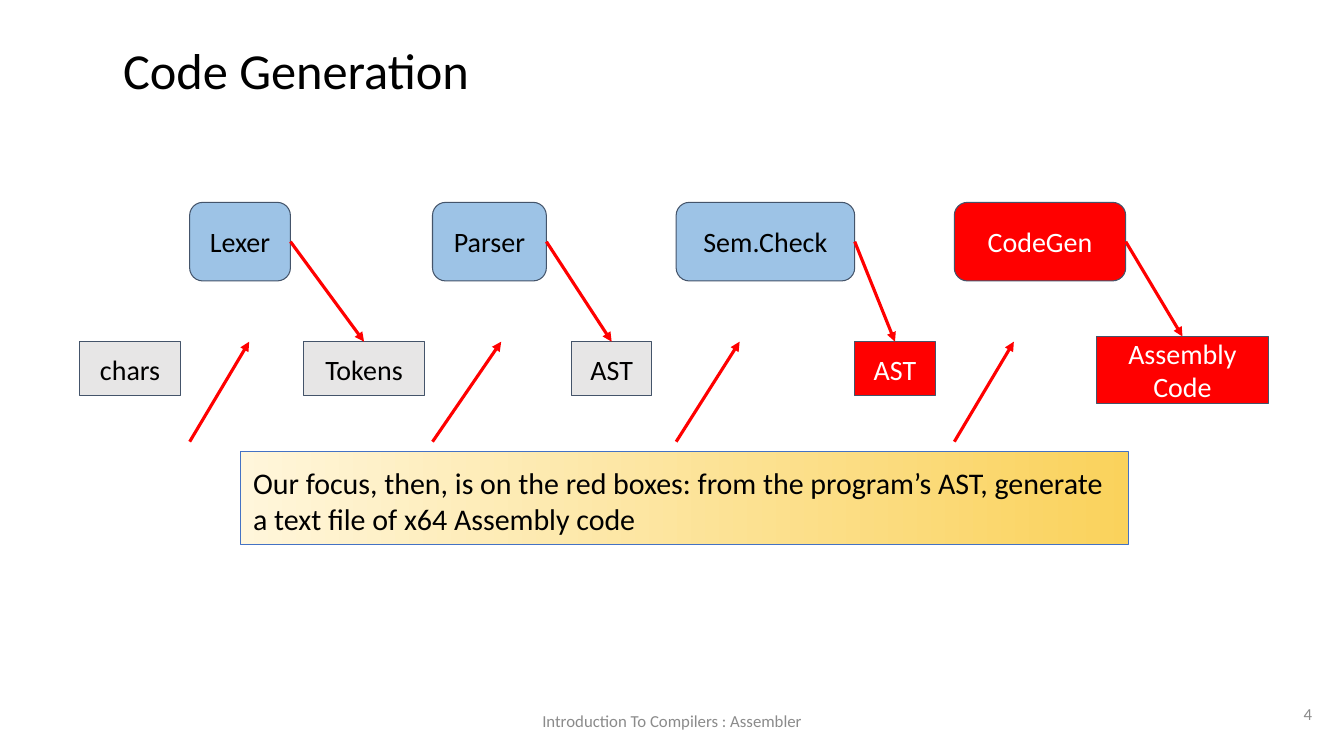
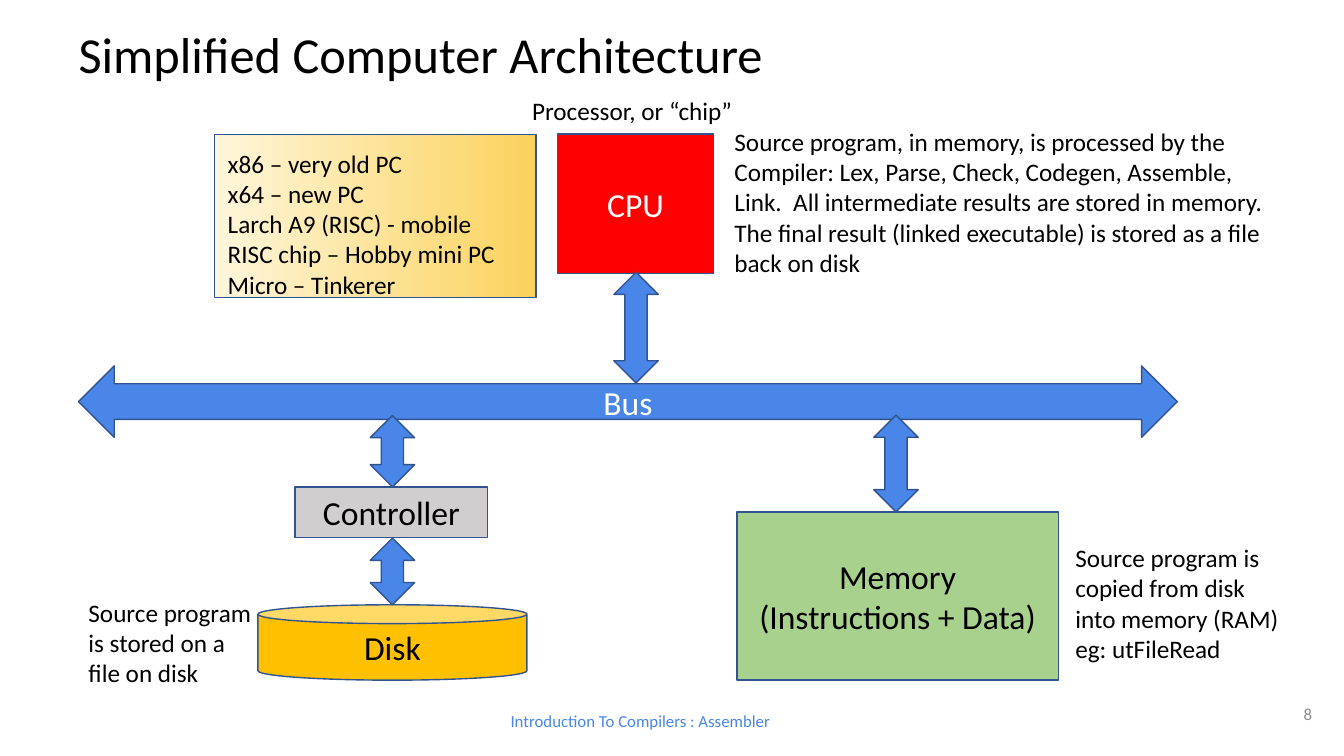
from lxml.etree import SubElement
from pptx import Presentation
from pptx.dml.color import RGBColor
from pptx.enum.shapes import MSO_CONNECTOR, MSO_SHAPE
from pptx.enum.text import MSO_ANCHOR, PP_ALIGN
from pptx.oxml.ns import qn
from pptx.util import Cm, Pt

BLACK, WHITE, RED, BLUE = "000000", "FFFFFF", "FF0000", "4A86E8"
GREY, SLATE, NAVY = "8B8B8B", "44546A", "31538F"


def rgb(value):
    """Turn a hex string into a colour."""
    return RGBColor.from_string(value)


def write(frame, text, size=18, color=BLACK, align=PP_ALIGN.LEFT,
          anchor=MSO_ANCHOR.TOP, inset=(0.33, 0.18)):
    """Fill a text frame, one paragraph for each line of text."""
    frame.word_wrap = True
    frame.vertical_anchor = anchor
    frame.margin_left = frame.margin_right = Cm(inset[0])
    frame.margin_top = frame.margin_bottom = Cm(inset[1])
    frame.text = text
    for paragraph in frame.paragraphs:
        paragraph.alignment = align
        paragraph.font.name = "Calibri"
        paragraph.font.size = Pt(size)
        paragraph.font.color.rgb = rgb(color)


class Deck:
    """Hold the presentation, its style and the current slide."""

    def __init__(self):
        """Start a widescreen presentation."""
        self.presentation = Presentation()
        self.presentation.slide_width = Cm(33.87)
        self.presentation.slide_height = Cm(19.05)
        self.outline = NAVY
        self.outline_width = 1

    def slide(self, title, place, inset, outline, outline_width):
        """Add a slide with its title and set its outline style."""
        layout = self.presentation.slide_layouts[5]
        self.shapes = self.presentation.slides.add_slide(layout).shapes
        self.outline, self.outline_width = outline, outline_width
        heading = self.shapes.title
        heading.left, heading.top, heading.width, heading.height = map(Cm, place)
        write(heading.text_frame, title, size=36, inset=inset)

    def label(self, text, place, **style):
        """Add a plain text box."""
        write(self.shapes.add_textbox(*map(Cm, place)).text_frame, text, **style)

    def footer(self, number, center, color):
        """Add the course name and the slide number."""
        middle = MSO_ANCHOR.MIDDLE
        self.label("Introduction To Compilers : Assembler", (center - 5.7, 17.65, 11.4, 1.02),
                   size=12, color=color, align=PP_ALIGN.CENTER, anchor=middle)
        self.label(number, (31.37, 17.27, 2.03, 1.45),
                   size=12, color=GREY, align=PP_ALIGN.RIGHT, anchor=middle)

    def box(self, text, place, fill, preset=MSO_SHAPE.RECTANGLE, size=24, color=BLACK):
        """Add a filled shape with centred text."""
        shape = self.shapes.add_shape(preset, *map(Cm, place))
        shape.shadow.inherit = False
        shape.fill.solid()
        shape.fill.fore_color.rgb = rgb(fill)
        shape.line.color.rgb = rgb(self.outline)
        shape.line.width = Pt(self.outline_width)
        if text:
            write(shape.text_frame, text, size=size, color=color,
                  align=PP_ALIGN.CENTER, anchor=MSO_ANCHOR.MIDDLE)
        return shape

    def callout(self, text, place, size, outline):
        """Add a note on a golden gradient."""
        shape = self.box("", place, WHITE)
        shape.fill.gradient()
        shape.fill.gradient_angle = 0
        for stop, position, color in zip(shape.fill.gradient_stops, (0, 1), ("FFF6DB", "FAD25C")):
            stop.position = position
            stop.color.rgb = rgb(color)
        shape.line.color.rgb = rgb(outline)
        shape.line.width = Pt(0.75)
        write(shape.text_frame, text, size=size, inset=(0.33, 0.33))

    def link(self, center, top, height):
        """Add a vertical double arrow."""
        self.box("", (center - 0.56, top, 1.12, height), BLUE, MSO_SHAPE.UP_DOWN_ARROW)

    def arrow(self, start=(0, 0), end=(0, 0), source=None, target=None):
        """Draw a red arrow between points, or from a right side to a top."""
        arrow = self.shapes.add_connector(MSO_CONNECTOR.STRAIGHT, *map(Cm, start + end))
        if source is not None:
            arrow.begin_connect(source, 3)
        if target is not None:
            arrow.end_connect(target, 0)
        arrow.line.color.rgb = rgb(RED)
        arrow.line.width = Pt(2.25)
        SubElement(arrow.line._get_or_add_ln(), qn("a:tailEnd"), type="triangle")
        SubElement(arrow._element.spPr, qn("a:effectLst"))


def code_generation(deck):
    """Build the compiler pipeline slide."""
    deck.slide("Code Generation", (2.77, 0.66, 27.36, 1.98), (0.33, 0.33), SLATE, 0.75)
    deck.callout("Our focus, then, is on the red boxes: from the program’s AST, "
                 "generate a text file of x64 Assembly code",
                 (6.05, 11.38, 22.38, 2.34), 21.4, "4472C4")
    light, pale = ("9DC3E6", BLACK), ("E7E6E6", BLACK)
    focus = (RED, WHITE)
    top, height = 8.61, 1.37
    deck.box("chars", (2.01, top, 2.54, height), pale[0], size=20)
    steps = [
        ("Lexer", 4.78, 2.54, light, 1.5, "Tokens", (7.65, top, 3.05, height), pale),
        ("Parser", 10.9, 2.87, light, 1.73, "AST", (14.4, top, 2.03, height), pale),
        ("Sem.Check", 17.04, 4.5, light, 1.6, "AST", (21.54, top, 2.03, height), focus),
        ("CodeGen", 24.05, 4.32, focus, 1.5, "Assembly Code", (27.64, 8.48, 4.32, 1.68), focus),
    ]
    for stage, left, width, look, run, product, place, product_look in steps:
        phase = deck.box(stage, (left, 5.1, width, 1.98), look[0],
                         MSO_SHAPE.ROUNDED_RECTANGLE, 20, look[1])
        result = deck.box(product, place, product_look[0], size=20, color=product_look[1])
        deck.arrow((left, 11.13), (left + run, top))
        deck.arrow(source=phase, target=result)
    deck.footer("4", 16.94, GREY)


def computer_architecture(deck):
    """Build the computer architecture slide."""
    deck.slide("Simplified Computer Architecture", (1.65, 0.41, 24.61, 2.24), (0.33, 0.18), NAVY, 1)
    deck.box("Bus", (1.98, 9.22, 27.69, 1.8), BLUE, MSO_SHAPE.LEFT_RIGHT_ARROW, color=WHITE)
    deck.box("Memory\n(Instructions + Data)", (18.57, 12.9, 8.1, 4.24), "A9D18E")
    deck.box("CPU", (14.05, 3.38, 3.94, 3.51), RED, color=WHITE)
    deck.box("Disk", (6.5, 15.24, 6.78, 1.9), "FFC000", MSO_SHAPE.CAN)
    deck.box("Controller", (7.44, 12.27, 4.85, 1.27), "D0CECE")
    for center, top, height in ((16.03, 6.86, 2.79), (22.58, 10.46, 2.44),
                                (9.89, 10.47, 1.8), (9.89, 13.56, 1.68)):
        deck.link(center, top, height)
    remarks = [
        ("Source program is stored on a file on disk", (1.98, 14.91, 4.67, 3.3)),
        ("Source program is copied from disk into memory (RAM)\neg: utFileRead",
         (26.85, 13.54, 5.77, 4.06)),
        ("Source program, in memory, is processed by the Compiler: Lex, Parse, Check, "
         "Codegen, Assemble, Link.  All intermediate results are stored in memory.  "
         "The final result (linked executable) is stored as a file back on disk",
         (18.26, 3.05, 14.35, 4.83)),
        ("Processor, or “chip”", (13.16, 2.26, 5.74, 1.78)),
    ]
    for remark, place in remarks:
        deck.label(remark, place, inset=(0.25, 0.13))
    deck.callout("x86 – very old PC\nx64 – new PC\nLarch A9 (RISC) - mobile\n"
                 "RISC chip – Hobby mini PC\nMicro – Tinkerer",
                 (5.41, 3.4, 8.1, 4.11), 18, NAVY)
    deck.footer("8", 16.14, BLUE)


def main():
    """Build and save the slides."""
    deck = Deck()
    code_generation(deck)
    computer_architecture(deck)
    deck.presentation.save("out.pptx")


if __name__ == "__main__":
    main()
